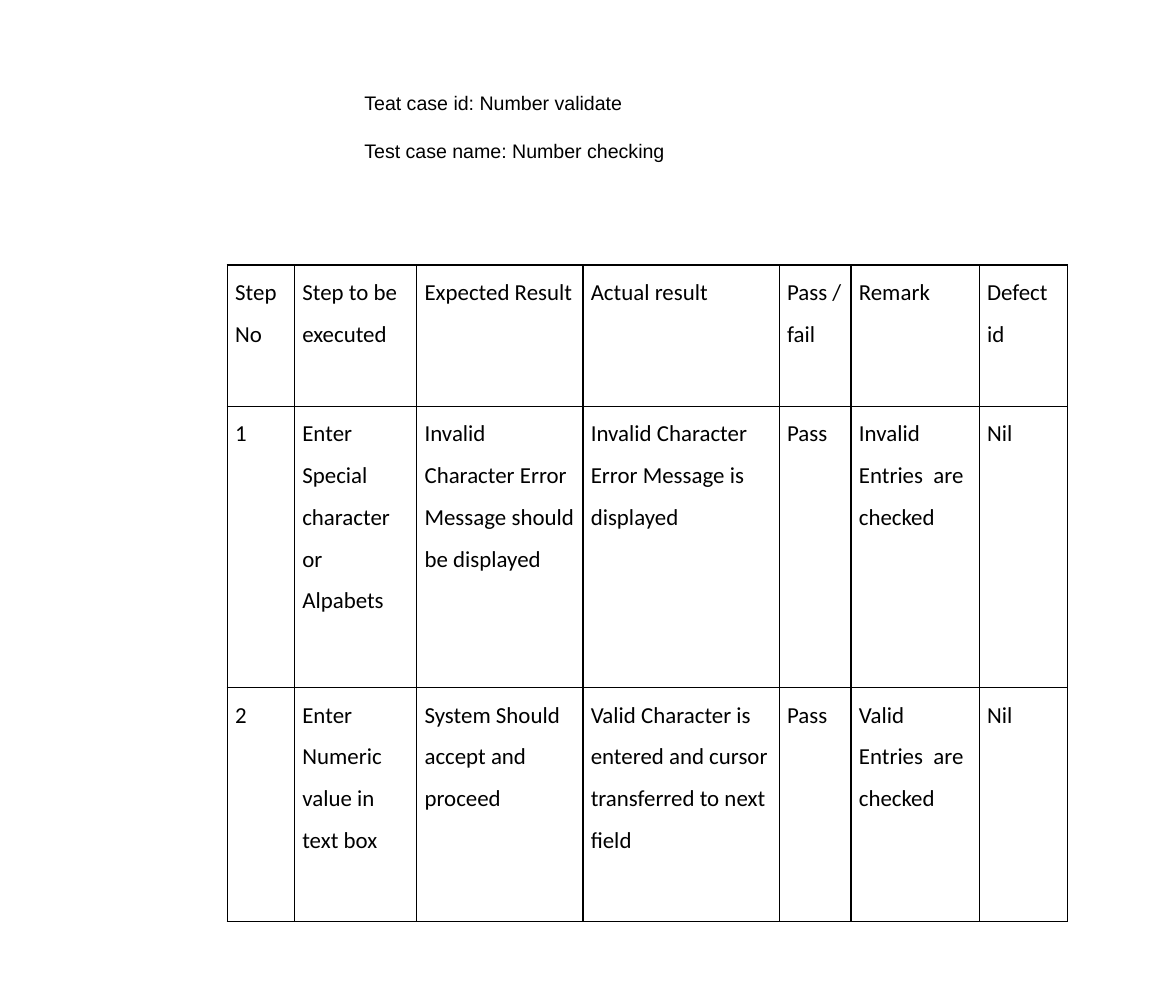
from dataclasses import dataclass

from lxml.etree import SubElement
from pptx import Presentation
from pptx.dml.color import RGBColor
from pptx.enum.text import MSO_ANCHOR as Anchor, MSO_AUTO_SIZE as AutoSize, PP_ALIGN as Align
from pptx.oxml.ns import qn
from pptx.util import Cm, Pt


@dataclass(frozen=True)
class Theme:
    """Colours, fonts and type sizes of the slide."""
    ink: str = "000000"
    paper: str = "FFFFFF"
    heading_font: str = "Arial"
    table_font: str = "Calibri"
    heading_size: int = 12
    table_size: int = 14
    border: int = 1


THEME = Theme()
HEADING = ["Teat case id: Number validate", "Test case name: Number checking"]
COLUMN_WIDTHS = [1.45, 2.64, 3.59, 4.24, 1.55, 2.77, 1.9]
ROW_HEIGHTS = [3.05, 6.07, 5.05]
TEST_STEPS = [
    ["Step No", "Step to be executed", "Expected Result", "Actual result",
     "Pass / fail", "Remark", "Defect id"],
    ["1", "Enter Special character or Alpabets",
     "Invalid Character Error Message should be displayed",
     "Invalid Character Error Message is displayed",
     "Pass", "Invalid Entries  are checked", "Nil"],
    ["2", "Enter Numeric value in text box", "System Should accept and proceed",
     "Valid Character is entered and cursor transferred to next field",
     "Pass", "Valid Entries  are checked", "Nil"],
]


def style_font(para, name, size):
    """Set the typeface, size and ink colour of a paragraph."""
    para.font.name = name
    para.font.size = Pt(size)
    para.font.color.rgb = RGBColor.from_string(THEME.ink)


def add_borders(cell):
    """Draw a thin line on all four sides of a cell."""
    properties = cell._tc.get_or_add_tcPr()
    for side in ("a:lnL", "a:lnR", "a:lnT", "a:lnB"):
        line = SubElement(properties, qn(side), w=str(Pt(THEME.border)))
        fill = SubElement(line, qn("a:solidFill"))
        SubElement(fill, qn("a:srgbClr"), val=THEME.ink)


def place_heading(page, left, top, width, height):
    """Place the test case id and name in the title placeholder."""
    title = page.shapes.title
    title.left, title.top, title.width, title.height = left, top, width, height
    frame = title.text_frame
    frame.word_wrap = False
    frame.auto_size = AutoSize.NONE
    frame.vertical_anchor = Anchor.TOP
    frame.margin_left, frame.margin_top = Cm(7.87), Cm(1.69)
    frame.text = "\n".join(HEADING)
    for index, para in enumerate(frame.paragraphs):
        para.alignment = Align.LEFT
        para.space_before = Pt(15 * index)
        style_font(para, THEME.heading_font, THEME.heading_size)


def fill_cell(cell, text):
    """Write one table cell with its borders and spacing."""
    add_borders(cell)
    cell.fill.solid()
    cell.fill.fore_color.rgb = RGBColor.from_string(THEME.paper)
    cell.margin_left = cell.margin_right = Cm(0.17)
    cell.margin_top = cell.margin_bottom = 0
    cell.text = text
    para = cell.text_frame.paragraphs[0]
    para.line_spacing = 1.5
    style_font(para, THEME.table_font, THEME.table_size)


def place_test_table(page, left, top, width, height):
    """Place the table of test steps."""
    table = page.shapes.add_table(
        len(ROW_HEIGHTS), len(COLUMN_WIDTHS), left, top, width, height).table
    table.first_row = table.horz_banding = False
    for column, size in zip(table.columns, COLUMN_WIDTHS):
        column.width = Cm(size)
    for row, size, texts in zip(table.rows, ROW_HEIGHTS, TEST_STEPS):
        row.height = Cm(size)
        for cell, text in zip(row.cells, texts):
            fill_cell(cell, text)


def main():
    """Build and save the slide."""
    deck = Presentation()
    deck.slide_width, deck.slide_height = Cm(25.4), Cm(21.59)
    page = deck.slides.add_slide(deck.slide_layouts.get_by_name("Title Only"))
    place_heading(page, Cm(0), Cm(0.28), Cm(14.76), Cm(4.11))
    place_test_table(page, Cm(4.91), Cm(5.72), Cm(sum(COLUMN_WIDTHS)), Cm(sum(ROW_HEIGHTS)))
    deck.save("out.pptx")


if __name__ == "__main__":
    main()
